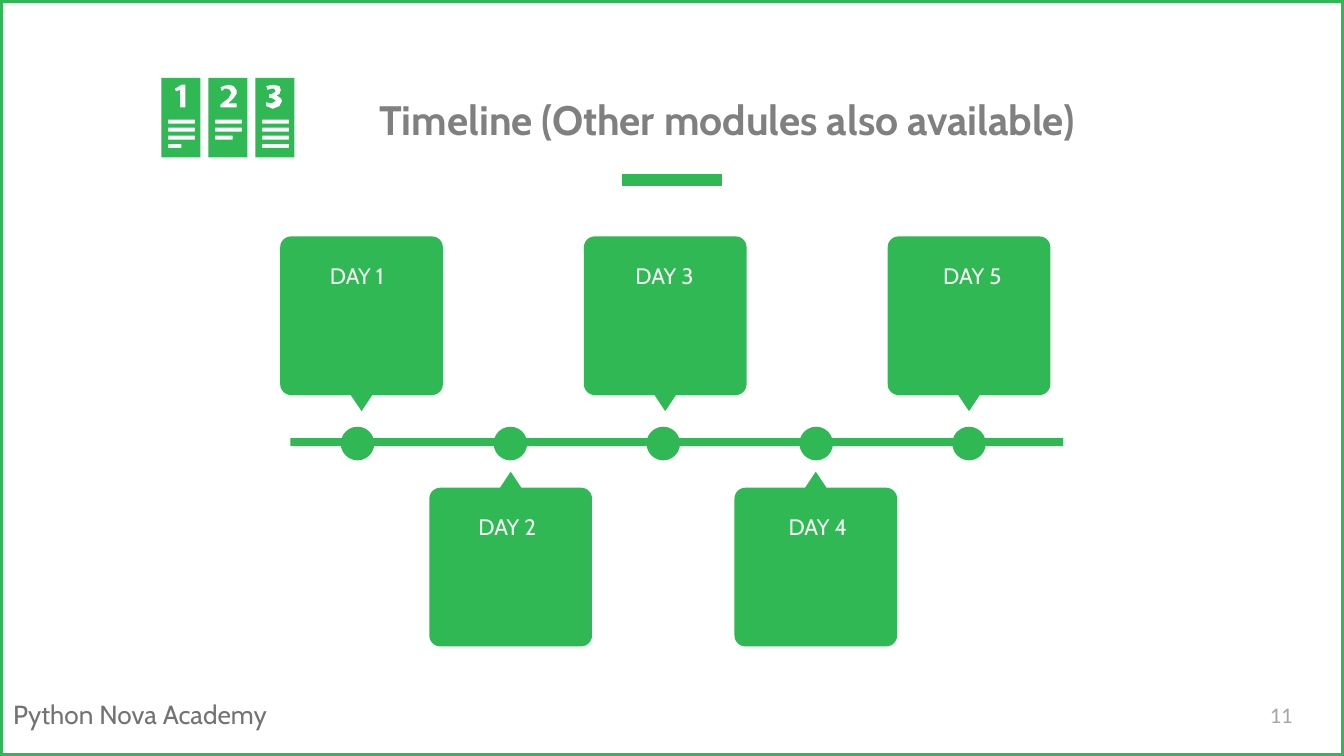
from dataclasses import dataclass
from math import cos, pi, sin

from lxml import etree
from pptx import Presentation
from pptx.dml.color import RGBColor
from pptx.enum.shapes import MSO_CONNECTOR as Line, MSO_SHAPE as Shape
from pptx.enum.text import MSO_ANCHOR as Anchor, MSO_AUTO_SIZE as Fit, PP_ALIGN as Align
from pptx.oxml.ns import qn
from pptx.util import Inches, Pt


@dataclass(frozen=True)
class Theme:
    green: RGBColor = RGBColor(0x30, 0xB8, 0x54)
    title: RGBColor = RGBColor(0x80, 0x80, 0x80)
    label: RGBColor = RGBColor(0xF2, 0xF2, 0xF2)
    foot: RGBColor = RGBColor(0x73, 0x73, 0x73)
    page: RGBColor = RGBColor(0xA6, 0xA6, 0xA6)
    font: str = "Cabin"
    page_font: str = "Calibri"
    big: int = 22
    mid: int = 14
    small: int = 12


THEME = Theme()
WIDE = 10
HIGH = WIDE * 9 / 16

# Day label, pointer centre, label left
DAYS = [("DAY 1", 2.69, 2.19), ("DAY 2", 3.8, 3.31), ("DAY 3", 4.95, 4.48),
        ("DAY 4", 6.07, 5.62), ("DAY 5", 7.21, 6.77)]
BOX_W, BOX_H, TIP_W, TIP_H, CURVE = 1.21, 1.18, 0.16, 0.12, 0.08
TOP_ROW, LOW_ROW = 1.76, 3.51
DOT_X, DOT_Y, DOT_SIZE = 2.66, 3.3, 0.25
DOT_GAP = (7.21 - DOT_X) / (len(DAYS) - 1)

CARD_X, CARD_Y, CARD_W, CARD_H, CARD_GAP = 1.2, 0.58, 0.29, 0.59, 0.35
ONE = [(.15, .05), (.18, .05), (.18, .22), (.14, .22), (.14, .09), (.11, .1), (.1, .08)]
TWO = [(.09, .2), (.11, .18), (.15, .15), (.17, .11), (.16, .09), (.14, .08),
       (.12, .08), (.1, .1), (.09, .07), (.11, .06), (.15, .05), (.19, .06),
       (.21, .09), (.21, .12), (.19, .15), (.15, .19), (.21, .19), (.21, .22),
       (.09, .22)]
THREE = [(.12, .15), (.1, .15), (.1, .12), (.12, .12), (.15, .1), (.14, .08),
         (.12, .08), (.09, .09), (.08, .06), (.13, .05), (.18, .06), (.19, .09),
         (.18, .12), (.16, .13), (.19, .15), (.2, .17), (.18, .21), (.13, .23),
         (.08, .21), (.08, .18), (.12, .19), (.15, .17), (.14, .16)]
# Digit outline, widths of the text bars below it
CARDS = [(ONE, (.2, .2, .2, .1)), (TWO, (.2, .2, .13)), (THREE, (.2, .2, .2, .2))]


def paint(shape):
    shape.shadow.inherit = False
    shape.fill.solid()
    shape.fill.fore_color.rgb = THEME.green
    shape.line.fill.background()


def add_form(shapes, rings):
    """Fill closed outlines; inner rings become holes."""
    rings = [[(Inches(x), Inches(y)) for x, y in ring] for ring in rings]
    form = shapes.build_freeform(*rings[0][0], scale=1.0)
    form.add_line_segments(rings[0][1:], close=True)
    for ring in rings[1:]:
        form.move_to(*ring[0])
        form.add_line_segments(ring[1:], close=True)
    paint(form.convert_to_shape())


def add_solid(shapes, kind, x, y, w, h):
    paint(shapes.add_shape(kind, Inches(x), Inches(y), Inches(w), Inches(h)))


def rect(x, y, w, h):
    return [(x, y), (x + w, y), (x + w, y + h), (x, y + h)]


def arc(x, y, turn):
    """Points of a quarter circle that starts after the given quarter turns."""
    angles = [(turn + i / 8) * pi / 2 for i in range(9)]
    return [(x + CURVE * cos(a), y + CURVE * sin(a)) for a in angles]


def add_callout(shapes, mid, top, down):
    """Add a rounded box whose pointer faces down or up."""
    side, end = BOX_W / 2 - CURVE, BOX_H - CURVE
    ring = (arc(mid - side, CURVE, 2) + arc(mid + side, CURVE, 3)
            + arc(mid + side, end, 0)
            + [(mid + TIP_W / 2, BOX_H), (mid, BOX_H + TIP_H), (mid - TIP_W / 2, BOX_H)]
            + arc(mid - side, end, 1))
    full = BOX_H + TIP_H
    add_form(shapes, [[(x, top + (y if down else full - y)) for x, y in ring]])


def add_card(shapes, x, y, digit, bars):
    holes = [rect(x + 0.05, y + 0.31 + 0.06 * i, w, 0.03) for i, w in enumerate(bars)]
    mark = [(x + dx, y + dy) for dx, dy in digit]
    add_form(shapes, [rect(x, y, CARD_W, CARD_H), mark] + holes)


def add_rule(shapes, x1, x2, y):
    rule = shapes.add_connector(Line.STRAIGHT, Inches(x1), Inches(y), Inches(x2), Inches(y))
    rule.line.color.rgb = THEME.green
    rule.line.width = Pt(6)
    etree.SubElement(rule.element.spPr, qn("a:effectLst"))


def add_frame(shapes):
    frame = shapes.add_shape(Shape.RECTANGLE, 0, 0, Inches(WIDE), Inches(HIGH))
    frame.shadow.inherit = False
    frame.fill.background()
    frame.line.color.rgb = THEME.green
    frame.line.width = Pt(3)


def write(box, text, at, size, color, font=THEME.font, align=Align.CENTER,
          anchor=Anchor.TOP, bold=False, pad=0.1):
    """Place a text box or placeholder and set its only run."""
    box.left, box.top, box.width, box.height = map(Inches, at)
    frame = box.text_frame
    frame.word_wrap = True
    frame.auto_size = Fit.NONE
    frame.vertical_anchor = anchor
    frame.margin_left = frame.margin_right = Inches(0.1)
    frame.margin_top = frame.margin_bottom = Inches(pad)
    para = frame.paragraphs[0]
    para.alignment = align
    para.space_before = Pt(0)
    props = para._p.get_or_add_pPr()
    props.set("marL", "0")
    props.set("indent", "0")
    etree.SubElement(props, qn("a:buNone"))
    run = para.add_run()
    run.text = text
    run.font.name = font
    run.font.size = Pt(size)
    run.font.bold = bold
    run.font.color.rgb = color


def add_box(shapes):
    return shapes.add_textbox(0, 0, Inches(1), Inches(1))


def add_days(shapes, bodies):
    for i, (name, mid, left) in enumerate(DAYS):
        upper = i % 2 == 0
        add_callout(shapes, mid, TOP_ROW if upper else LOW_ROW, upper)
        add_solid(shapes, Shape.OVAL, DOT_X + i * DOT_GAP - DOT_SIZE / 2,
                  DOT_Y - DOT_SIZE / 2, DOT_SIZE, DOT_SIZE)
        if i < len(bodies):
            box = bodies[i]
            shapes.element.append(box.element)  # bring the label to the front
        else:
            box = add_box(shapes)
        label_top = 1.85 if upper else 3.72
        write(box, name, (left, label_top, 0.93, 0.37), THEME.small, THEME.label)


def main():
    deck = Presentation()
    deck.slide_width, deck.slide_height = Inches(WIDE), Inches(HIGH)
    slide = deck.slides.add_slide(deck.slide_layouts.get_by_name("Comparison"))
    shapes = slide.shapes
    bodies = list(slide.placeholders)[1:]

    add_frame(shapes)
    add_rule(shapes, 4.63, 5.37, 1.34)
    write(shapes.title, "Timeline (Other modules also available)", (0.41, 0.17, 10, 1),
          THEME.big, THEME.title, anchor=Anchor.BOTTOM, bold=True)
    add_solid(shapes, Shape.RECTANGLE, 2.16, 3.26, 5.75, 0.06)
    add_days(shapes, bodies)
    for i, (digit, bars) in enumerate(CARDS):
        add_card(shapes, CARD_X + i * CARD_GAP, CARD_Y, digit, bars)
    write(add_box(shapes), "Python Nova Academy", (0, 5.15, 2.55, 0.34),
          THEME.mid, THEME.foot, align=Align.LEFT, pad=0.05)
    write(add_box(shapes), "11", (9.35, 5.1, 0.6, 0.43), THEME.small, THEME.page,
          font=THEME.page_font, align=Align.LEFT, anchor=Anchor.MIDDLE)
    deck.save("out.pptx")


if __name__ == "__main__":
    main()
